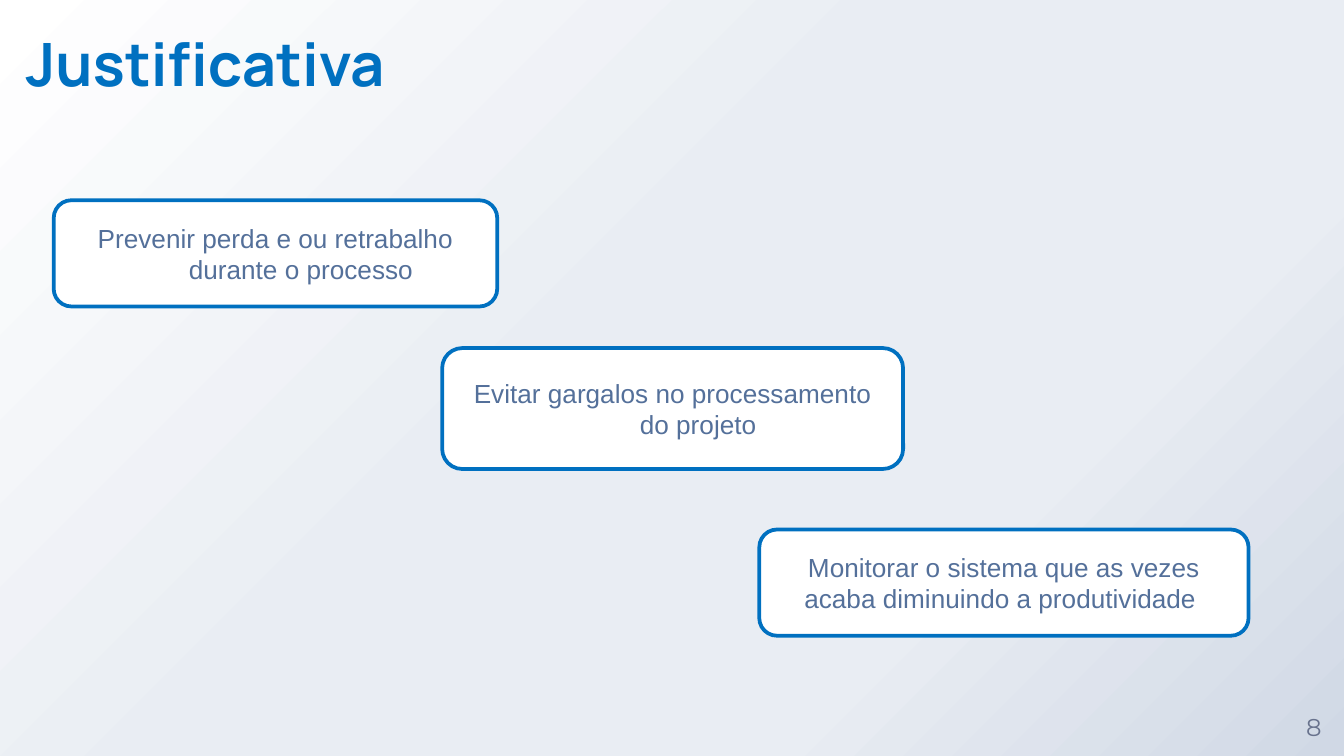
from copy import deepcopy
from pptx import Presentation
from pptx.dml.color import RGBColor
from pptx.enum.shapes import MSO_SHAPE
from pptx.enum.text import MSO_ANCHOR, PP_ALIGN
from pptx.oxml.ns import qn
from pptx.util import Inches, Pt

TITLE = ("Justificativa", (0.19, 0.1, 4.44, 0.63))
NUMBER = ("8", (9.55, 5.18, 0.45, 0.45))
CARDS = [
    ("Prevenir perda e ou retrabalho durante o processo", (0.4, 1.49, 3.3, 0.79), 0.38),
    ("Evitar gargalos no processamento do projeto", (3.29, 2.59, 3.43, 0.9), 0.38),
    ("Monitorar o sistema que as vezes acaba diminuindo a produtividade ", (5.65, 3.94, 3.64, 0.79), 0),
]
THEME = {
    "title": {"name": "Manrope", "size": Pt(32), "bold": True},
    "card": {"name": "Arial", "size": Pt(14)},
    "number": {"name": "Montserrat", "size": Pt(13)},
    "ink": {"title": "0070C0", "card": "54709A", "number": "68728D"},
    "fill": "FFFFFF",
    "line": "0070C0",
    "stops": [(0, "FFFFFF"), (0.44, "E9EDF3"), (0.72, "E9EDF3"), (1, "D0D8E5")],
}
WIDTH = Inches(10)
SIZE = {"slide_width": WIDTH, "slide_height": WIDTH * 9 // 16}
FLUSH = dict.fromkeys(("margin_left", "margin_top", "margin_right", "margin_bottom"), 0)


def color(code):
    return RGBColor.from_string(code)


def apply(item, values):
    for key, value in values.items():
        setattr(item, key, value)


def write(shape, text, role, align, anchor, hang=0, **frame):
    body = shape.text_frame
    apply(body, {"word_wrap": True, "vertical_anchor": anchor, **frame})
    para = body.paragraphs[0]
    para.alignment = align
    if hang:
        props = para._p.get_or_add_pPr()
        props.set("marL", str(Inches(hang)))
        props.set("indent", str(-Inches(hang)))
    run = para.add_run()
    run.text = text
    apply(run.font, THEME[role])
    run.font.color.rgb = color(THEME["ink"][role])


def paint(slide):
    fill = slide.background.fill
    fill.gradient()
    fill.gradient_angle = 315
    stops = slide.element.find(".//" + qn("a:gsLst"))
    while len(stops) < len(THEME["stops"]):
        stops.append(deepcopy(stops[0]))
    for stop, (place, code) in zip(fill.gradient_stops, THEME["stops"]):
        stop.position = place
        stop.color.rgb = color(code)


def main():
    deck = Presentation()
    apply(deck, SIZE)
    slide = deck.slides.add_slide(deck.slide_layouts[6])
    paint(slide)
    for (text, box), role, align, anchor in (
        (TITLE, "title", PP_ALIGN.LEFT, MSO_ANCHOR.BOTTOM),
        (NUMBER, "number", PP_ALIGN.CENTER, MSO_ANCHOR.MIDDLE),
    ):
        label = slide.shapes.add_textbox(*map(Inches, box))
        write(label, text, role, align, anchor, **FLUSH)
    for text, box, hang in CARDS:
        card = slide.shapes.add_shape(MSO_SHAPE.ROUNDED_RECTANGLE, *map(Inches, box))
        card.shadow.inherit = False
        card.fill.solid()
        card.fill.fore_color.rgb = color(THEME["fill"])
        card.line.color.rgb = color(THEME["line"])
        card.line.width = Pt(2)
        write(card, text, "card", PP_ALIGN.CENTER, MSO_ANCHOR.MIDDLE, hang)
    deck.save("out.pptx")


if __name__ == "__main__":
    main()
